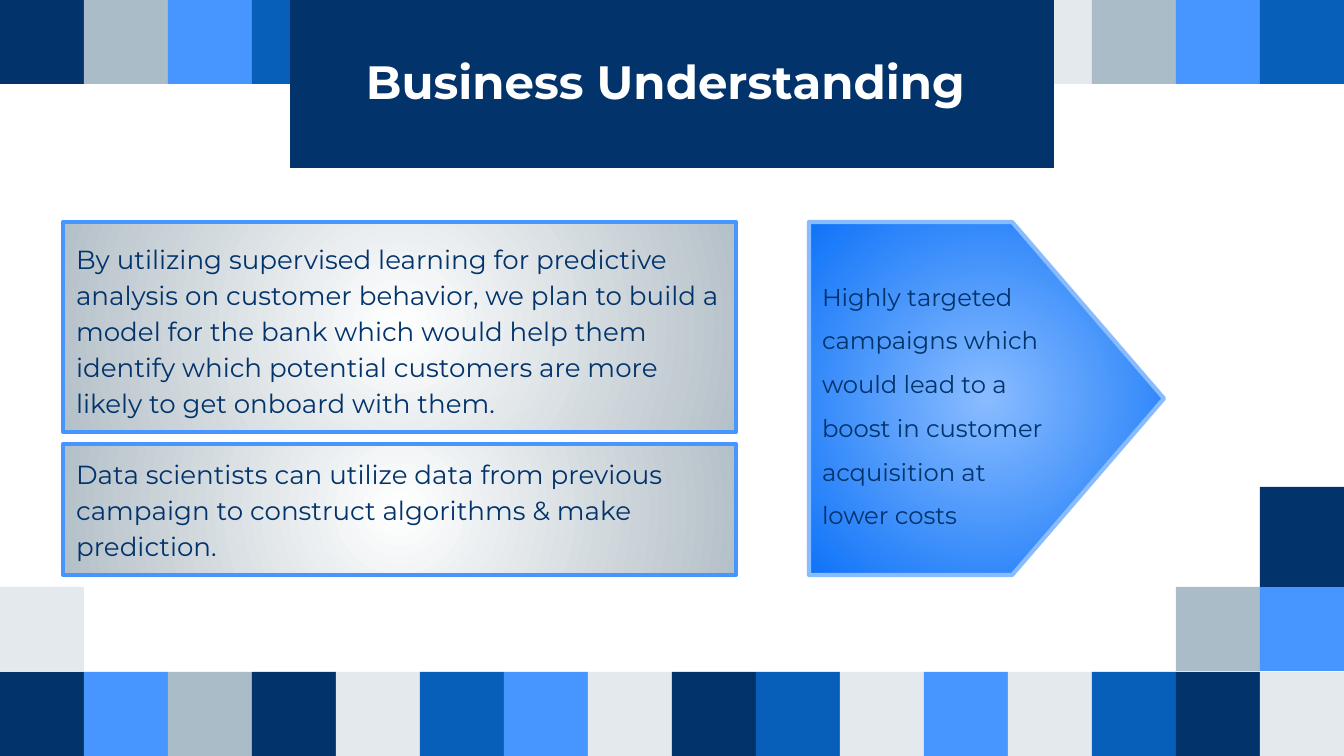
from lxml.etree import SubElement
from pptx import Presentation
from pptx.dml.color import RGBColor
from pptx.enum.shapes import MSO_SHAPE
from pptx.enum.text import MSO_ANCHOR, MSO_AUTO_SIZE, PP_ALIGN
from pptx.oxml.ns import qn
from pptx.util import Emu, Pt

PX = 914400 / 134.4
TILE = 84
COLORS = {
    "navy": "02336A", "grey": "ABBCC9", "sky": "4796FF", "blue": "085FBA",
    "pale": "E3E9ED", "white": "FFFFFF", "steel": "B4C0C8",
    "light": "89BCFF", "vivid": "0E73F8",
}
TOP_CORNER = "grey sky blue"
BOTTOM_ROW = ("navy sky grey navy pale blue sky pale "
              "navy blue pale sky pale blue navy pale")


def px(length):
    return Emu(round(length * PX))


def rgb(name):
    return RGBColor.from_string(COLORS[name])


def apply_format(target, values):
    for name, value in values.items():
        setattr(target, name, value)


def add_block(slide, box, color, kind=MSO_SHAPE.RECTANGLE):
    block = slide.shapes.add_shape(kind, *map(px, box))
    block.shadow.inherit = False
    block.fill.solid()
    block.fill.fore_color.rgb = rgb(color)
    block.line.fill.background()
    return block


def add_tiles(slide, left, top, names, height=TILE):
    for column, color in enumerate(names.split()):
        add_block(slide, (left + column * TILE, top, TILE, height), color)


def fill_radial(shape, center, edge):
    shape.fill.gradient()
    for stop, color in zip(shape.fill.gradient_stops, (center, edge)):
        stop.color.rgb = rgb(color)
    gradient = shape._element.spPr.find(qn("a:gradFill"))
    gradient.remove(gradient.find(qn("a:lin")))
    circle = SubElement(gradient, qn("a:path"), {"path": "circle"})
    SubElement(circle, qn("a:fillToRect"),
               dict.fromkeys("ltrb", "50000"))


def write_text(shape, paragraphs, size, color, frame_format, paragraph_format, bold=False):
    frame = shape.text_frame
    frame.text = "\n".join(paragraphs)
    apply_format(frame, {"word_wrap": True, "auto_size": MSO_AUTO_SIZE.NONE,
                         "margin_left": px(13), "margin_right": px(13), **frame_format})
    for paragraph in frame.paragraphs:
        apply_format(paragraph, paragraph_format)
        apply_format(paragraph.font, {"name": "Montserrat", "size": Pt(size), "bold": bold})
        paragraph.font.color.rgb = rgb(color)


def add_panel(slide, box, paragraphs, gradient, border, size, spacing, anchor,
              kind=MSO_SHAPE.RECTANGLE):
    panel = add_block(slide, box, "white", kind)
    fill_radial(panel, *gradient)
    panel.line.color.rgb = rgb(border)
    panel.line.width = Pt(2.25)
    write_text(panel, paragraphs, size, "navy",
               {"vertical_anchor": anchor, "margin_top": px(13), "margin_bottom": px(13)},
               {"alignment": PP_ALIGN.LEFT, "line_spacing": spacing})
    return panel


def add_mosaic(slide, width, height):
    bottom = height - TILE
    right = width - TILE
    add_tiles(slide, 0, 0, "navy " + TOP_CORNER)
    add_tiles(slide, width - 4 * TILE, 0, "pale " + TOP_CORNER)
    add_tiles(slide, 0, bottom, BOTTOM_ROW)
    add_tiles(slide, 0, bottom - TILE - 1, "pale")
    add_tiles(slide, right - TILE, bottom - TILE - 1, "grey sky")
    add_tiles(slide, right, bottom - TILE - 101, "navy", 100)


def add_banner(slide, left, top, width, height):
    add_block(slide, (left, top, width, height), "navy")
    title = slide.shapes.title
    slide.shapes._spTree.append(title._element)
    apply_format(title, {"left": px(left), "top": px(top - 23),
                         "width": px(width), "height": px(height)})
    write_text(title, ["Business Understanding "], 25, "white",
               {"vertical_anchor": MSO_ANCHOR.MIDDLE,
                "margin_top": px(40), "margin_bottom": 0},
               {"alignment": PP_ALIGN.CENTER}, bold=True)


def add_approach(slide, left, top, width, height):
    style = {"gradient": ("white", "steel"), "border": "sky", "size": 14,
             "spacing": 1.15, "anchor": MSO_ANCHOR.BOTTOM}
    plan_height, gap = 210, 12
    data_top = plan_height + gap
    add_panel(slide, (left, top, width, plan_height), [
        "By utilizing supervised learning for predictive analysis on customer "
        "behavior, we plan to build a model for the bank which would help them "
        "identify which potential customers are more likely to get onboard with them."
    ], **style)
    add_panel(slide, (left, top + data_top, width, height - data_top), [
        "Data scientists can utilize data from previous campaign to construct "
        "algorithms & make",
        "prediction.",
    ], **style)


def add_outcome(slide, left, top, width, height):
    arrow = add_panel(slide, (left, top, width, height), [
        "Highly targeted campaigns which would lead to a boost in customer acquisition at",
        "lower costs",
    ], ("light", "vivid"), "light", 13, 1.5, MSO_ANCHOR.MIDDLE, MSO_SHAPE.PENTAGON)
    arrow.adjustments[0] = 0.43


def main():
    width, height = 1344, 756
    deck = Presentation()
    apply_format(deck, {"slide_width": px(width), "slide_height": px(height)})
    slide = deck.slides.add_slide(deck.slide_layouts[5])
    add_mosaic(slide, width, height)
    add_banner(slide, 290, 0, 764, 168)
    add_approach(slide, 63, 222, 673, 353)
    add_outcome(slide, 809, 222, 355, 353)
    deck.save("out.pptx")


if __name__ == "__main__":
    main()
